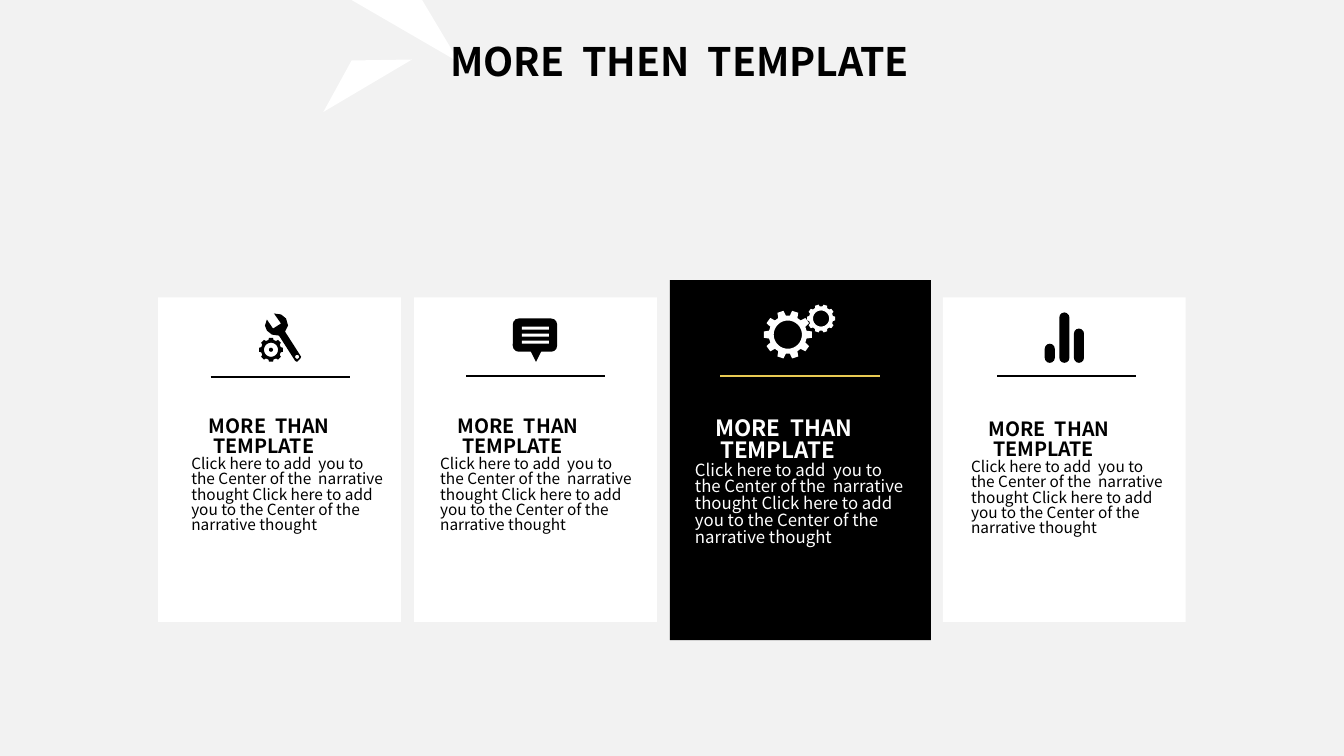
from math import cos, pi, sin

from lxml import etree
from pptx import Presentation
from pptx.dml.color import RGBColor
from pptx.enum.shapes import MSO_CONNECTOR, MSO_SHAPE
from pptx.enum.text import MSO_ANCHOR, PP_ALIGN
from pptx.oxml.ns import qn
from pptx.util import Inches, Pt

RECT, ROUND, OVAL = MSO_SHAPE.RECTANGLE, MSO_SHAPE.ROUNDED_RECTANGLE, MSO_SHAPE.OVAL
STRAIGHT, LEFT, TOP = MSO_CONNECTOR.STRAIGHT, PP_ALIGN.LEFT, MSO_ANCHOR.TOP

GRAY = RGBColor(0xF2, 0xF2, 0xF2)
WHITE = RGBColor(0xFF, 0xFF, 0xFF)
PALE = RGBColor(0xFE, 0xFE, 0xFE)
BLACK = RGBColor(0, 0, 0)
GOLD = RGBColor(0xE9, 0xCA, 0x53)
FONT = "Noto Sans CJK JP"

HEADS = ["MORE  THAN", "TEMPLATE"]
BODY = [
    "Click here to add  you to",
    "the Center of the  narrative",
    "thought Click here to add",
    "you to the Center of the",
    "narrative thought",
]

# Card left, top, width, height; rule left, top, width; text left, top, width
CARDS = [
    ((1.57, 2.95, 2.41, 3.22), (2.09, 3.74, 1.38), (1.8, 4.1, 2.19)),
    ((4.11, 2.95, 2.41, 3.22), (4.63, 3.73, 1.38), (4.27, 4.1, 2.19)),
    ((6.65, 2.78, 2.59, 3.57), (7.15, 3.73, 1.58), (6.8, 4.1, 2.36)),
    ((9.36, 2.95, 2.41, 3.22), (9.9, 3.73, 1.38), (9.54, 4.13, 2.19)),
]
DARK = 2


def paint(shape, color):
    shape.shadow.inherit = False
    shape.fill.solid()
    shape.fill.fore_color.rgb = color
    shape.line.fill.background()


def block(slide, kind, box, color, curve=None):
    shape = slide.shapes.add_shape(kind, *map(Inches, box))
    if curve is not None:
        shape.adjustments[0] = curve
    paint(shape, color)


def outline(slide, color, *loops):
    """Draw closed loops as one shape; inner loops are holes."""
    first, *rest = [[(Inches(x), Inches(y)) for x, y in loop] for loop in loops]
    form = slide.shapes.build_freeform(*first[0])
    form.add_line_segments(first[1:])
    for loop in rest:
        form.move_to(*loop[0])
        form.add_line_segments(loop[1:])
    paint(form.convert_to_shape(), color)


def polar(x, y, size, angle):
    return x + size * cos(angle), y + size * sin(angle)


def ring(x, y, size, count=32):
    return [polar(x, y, size, 2 * pi * i / count) for i in range(count)]


def gear(slide, color, x, y, size, root, hole, teeth):
    step = 2 * pi / teeth
    tooth = [(root, -0.33), (size, -0.21), (size, 0.21), (root, 0.33)]
    edge = [polar(x, y, reach, (i + turn) * step)
            for i in range(teeth) for reach, turn in tooth]
    outline(slide, color, edge, ring(x, y, hole))


def rule(slide, left, top, width, color):
    line = slide.shapes.add_connector(
        STRAIGHT, Inches(left), Inches(top), Inches(left + width), Inches(top))
    line.line.color.rgb = color
    line.line.width = Pt(1.5)
    etree.SubElement(line._element.spPr, qn("a:effectLst"))


def write(para, text, size, color, bold=False, indent=0, space=None):
    para.alignment = LEFT
    para.line_spacing = space
    if indent:
        para._p.get_or_add_pPr().set("marL", str(Inches(indent)))
    run = para.add_run()
    run.text = text
    font = run.font
    font.name, font.size, font.bold = FONT, Pt(size), bold
    font.color.rgb = color


def label(slide, left, top, width, color, head, body):
    box = slide.shapes.add_textbox(*map(Inches, (left, top, width, 2.04)))
    frame = box.text_frame
    frame.word_wrap = True
    lines = [(text, head, True, head * ratio)
             for text, ratio in zip(HEADS, (0.0125, 0.0156))]
    lines += [(text, body, False, 0) for text in BODY]
    for i, (text, size, bold, indent) in enumerate(lines):
        para = frame.add_paragraph() if i else frame.paragraphs[0]
        write(para, text, size, color, bold=bold, indent=indent, space=0.83)


def tools(slide):
    wrench = [(2.99, 3.54), (2.83, 3.29), (2.86, 3.23), (2.84, 3.16),
              (2.79, 3.12), (2.72, 3.11), (2.79, 3.21), (2.71, 3.26),
              (2.65, 3.17), (2.63, 3.23), (2.65, 3.28), (2.7, 3.32),
              (2.77, 3.33), (2.93, 3.58), (2.95, 3.59), (2.98, 3.56)]
    outline(slide, BLACK, wrench, ring(2.95, 3.54, 0.02))
    gear(slide, BLACK, 2.69, 3.47, 0.12, 0.1, 0.07, 8)
    block(slide, OVAL, (2.67, 3.45, 0.04, 0.04), BLACK)


def chat(slide):
    outline(slide, BLACK, [(5.26, 3.47), (5.38, 3.47), (5.32, 3.59)])
    block(slide, ROUND, (5.09, 3.16, 0.44, 0.33), BLACK, 0.18)
    for i in range(3):
        block(slide, RECT, (5.18, 3.24 + 0.07 * i, 0.27, 0.03), WHITE)


def gears(slide):
    gear(slide, WHITE, 7.82, 3.32, 0.24, 0.19, 0.14, 10)
    gear(slide, WHITE, 8.15, 3.16, 0.14, 0.12, 0.08, 10)


def bars(slide):
    for i, height in enumerate((0.19, 0.5, 0.34)):
        block(slide, ROUND, (10.37 + 0.145 * i, 3.6 - height, 0.1, height),
              BLACK, 0.5)


def main():
    deck = Presentation()
    deck.slide_width, deck.slide_height = Inches(13.34), Inches(7.5)
    slide = deck.slides.add_slide(deck.slide_layouts[5])
    slide.background.fill.solid()
    slide.background.fill.fore_color.rgb = GRAY

    # White shards
    outline(slide, WHITE, [(3.49, 0), (4.19, 0), (4.56, 0.62)])
    outline(slide, WHITE, [(3.21, 1.11), (3.49, 0.6), (4.09, 0.59)])

    # Title, moved in front of the shards
    title = slide.shapes.title
    title.left, title.top = Inches(4.17), Inches(0.32)
    title.width, title.height = Inches(4.99), Inches(0.64)
    frame = title.text_frame
    frame.word_wrap, frame.vertical_anchor = True, TOP
    frame.margin_left, frame.margin_right = Inches(0.3), 0
    write(frame.paragraphs[0], "MORE  THEN  TEMPLATE", 28, BLACK, bold=True)
    slide.shapes._spTree.append(title._element)

    # Cards with their rules and text
    for i, (card, bar, text) in enumerate(CARDS):
        dark = i == DARK
        block(slide, RECT, card, BLACK if dark else WHITE)
        rule(slide, *bar, GOLD if dark else BLACK)
        label(slide, *text, PALE if dark else BLACK,
              16 if dark else 14, 12 if dark else 11)

    # Icons
    for icon in (tools, chat, gears, bars):
        icon(slide)

    deck.save("out.pptx")


if __name__ == "__main__":
    main()
